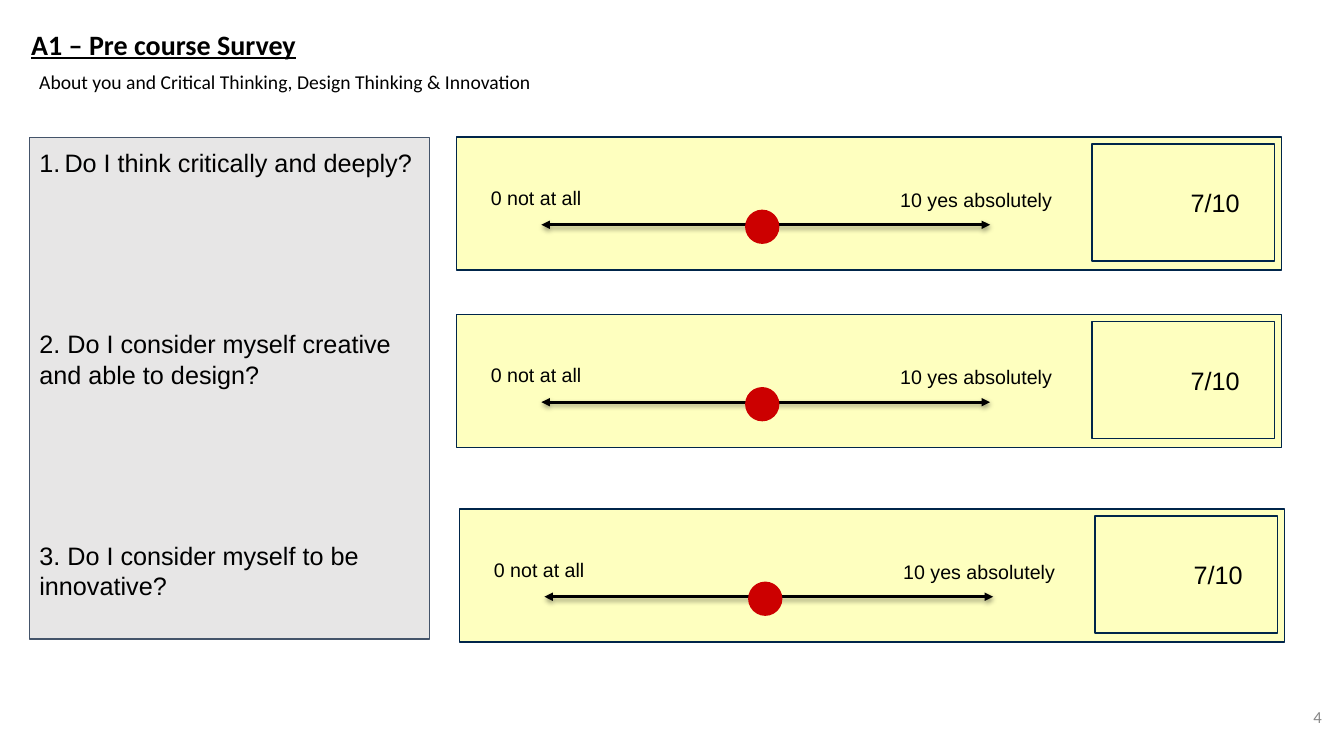
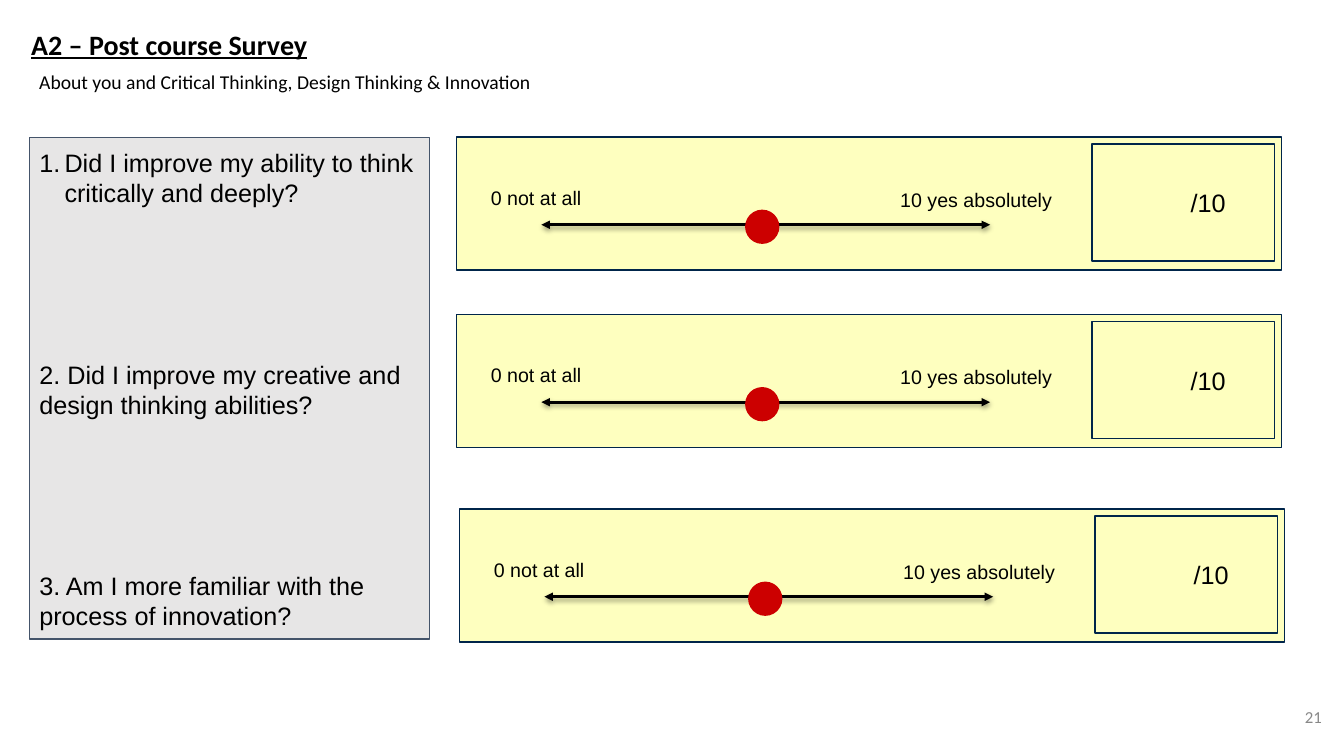
"""Build the pre-course and post-course survey slides."""
from dataclasses import dataclass

from lxml import etree
from pptx import Presentation
from pptx.dml.color import RGBColor
from pptx.enum.shapes import MSO_CONNECTOR, MSO_SHAPE
from pptx.enum.text import MSO_ANCHOR, MSO_AUTO_SIZE, PP_ALIGN
from pptx.oxml import parse_xml
from pptx.oxml.ns import qn
from pptx.util import Inches, Pt

RECT, OVAL = MSO_SHAPE.RECTANGLE, MSO_SHAPE.OVAL
STRAIGHT = MSO_CONNECTOR.STRAIGHT
LEFT, RIGHT = PP_ALIGN.LEFT, PP_ALIGN.RIGHT
TOP, MIDDLE = MSO_ANCHOR.TOP, MSO_ANCHOR.MIDDLE
FIXED = MSO_AUTO_SIZE.NONE

SUBTITLE = "About you and Critical Thinking, Design Thinking & Innovation"
SCALE_ENDS = ("0 not at all", "10 yes absolutely")
SURVEYS = [
    {
        "title": "A1 – Pre course Survey",
        "number": "4",
        "score": "7/10",
        "questions": [
            "Do I think critically and deeply?",
            "2. Do I consider myself creative and able to design?",
            "3. Do I consider myself to be innovative?",
        ],
    },
    {
        "title": "A2 – Post course Survey",
        "number": "21",
        "score": "/10",
        "questions": [
            "Did I improve my ability to think critically and deeply?",
            "2. Did I improve my creative and design thinking abilities?",
            "3. Am I more familiar with the process of innovation?",
        ],
    },
]
RATING_ORIGINS = [(4.53, 1.36), (4.53, 3.12), (4.56, 5.05)]


@dataclass(frozen=True)
class Theme:
    ink: str = "000000"
    muted: str = "888888"
    panel: str = "E7E6E6"
    panel_edge: str = "44546A"
    rating: str = "FEFFBF"
    rating_edge: str = "00254A"
    marker: str = "CC0000"
    heading_font: str = "Calibri"
    body_font: str = "Arial"
    title_size: int = 20
    question_size: int = 18
    label_size: int = 14
    number_size: int = 12
    question_gap: int = 108


THEME = Theme()


def place(shape, left, top, width, height):
    shape.left, shape.top = Inches(left), Inches(top)
    shape.width, shape.height = Inches(width), Inches(height)


def write(shape, *texts, size, font=THEME.body_font, color=THEME.ink, bold=False,
          underline=False, align=LEFT, anchor=TOP, inset=0.1, gap=0):
    frame = shape.text_frame
    frame.word_wrap = True
    frame.auto_size = FIXED
    frame.vertical_anchor = anchor
    frame.margin_left = frame.margin_right = Inches(0.1)
    frame.margin_top = frame.margin_bottom = Inches(inset)
    for index, text in enumerate(texts):
        paragraph = frame.add_paragraph() if index else frame.paragraphs[0]
        paragraph.alignment = align
        paragraph.line_spacing = 1.0
        paragraph.space_before = Pt(gap if index else 0)
        run = paragraph.add_run()
        run.text = text
        run.font.name, run.font.size = font, Pt(size)
        run.font.bold, run.font.underline = bold, underline
        run.font.color.rgb = RGBColor.from_string(color)


def add_label(slide, box, text, **style):
    write(slide.shapes.add_textbox(*map(Inches, box)), text, **style)


def paint(shape, fill, edge=None, width=1):
    shape.fill.solid()
    shape.fill.fore_color.rgb = RGBColor.from_string(fill)
    if edge:
        shape.line.color.rgb = RGBColor.from_string(edge)
        shape.line.width = Pt(width)
    else:
        shape.line.fill.background()


def add_block(slide, preset, box, fill, edge=None):
    block = slide.shapes.add_shape(preset, *map(Inches, box))
    block.shadow.inherit = False
    paint(block, fill, edge)


def add_scale_arrow(slide, left, right, y):
    arrow = slide.shapes.add_connector(
        STRAIGHT, Inches(left), Inches(y), Inches(right), Inches(y))
    arrow.line.color.rgb = RGBColor.from_string(THEME.ink)
    arrow.line.width = Pt(2)
    line = arrow.line._get_or_add_ln()
    for end in ("a:headEnd", "a:tailEnd"):
        etree.SubElement(line, qn(end), type="triangle")
    arrow._element.spPr.append(parse_xml(
        '<a:effectLst xmlns:a="http://schemas.openxmlformats.org/drawingml/2006/main">'
        f'<a:outerShdw blurRad="{Pt(3.1)}" dist="{Pt(1.6)}" dir="5400000" rotWithShape="0">'
        f'<a:srgbClr val="{THEME.ink}"><a:alpha val="38000"/></a:srgbClr>'
        '</a:outerShdw></a:effectLst>'))


def add_rating(slide, left, top, score):
    add_block(slide, RECT, (left, top, 8.18, 1.32), THEME.rating, THEME.rating_edge)
    add_scale_arrow(slide, left + 0.84, left + 5.29, top + 0.87)
    low, high = SCALE_ENDS
    add_label(slide, (left + 0.24, top + 0.38, 1.14, 0.39), low, size=THEME.label_size)
    add_label(slide, (left + 4.3, top + 0.4, 1.79, 0.37), high, size=THEME.label_size)
    add_block(slide, RECT, (left + 6.3, top + 0.07, 1.81, 1.16),
              THEME.rating, THEME.rating_edge)
    add_label(slide, (left + 7.18, top + 0.4, 0.72, 0.37), score,
              size=THEME.question_size)
    add_block(slide, OVAL, (left + 2.86, top + 0.72, 0.34, 0.34), THEME.marker)


def fill_questions(panel, questions):
    place(panel, 0.29, 1.36, 3.97, 4.98)
    paint(panel, THEME.panel, THEME.panel_edge, 0.75)
    write(panel, *questions, size=THEME.question_size, gap=THEME.question_gap)
    for index, paragraph in enumerate(panel.text_frame.paragraphs):
        properties = paragraph._p.get_or_add_pPr()
        hang = 0 if index else Inches(0.25)
        properties.set("marL", str(hang))
        properties.set("indent", str(-hang))
        if index:
            etree.SubElement(properties, qn("a:buNone"))
        else:
            etree.SubElement(properties, qn("a:buAutoNum"), type="arabicPeriod")


def add_survey(deck, survey):
    slide = deck.slides.add_slide(deck.slide_layouts[1])
    title, panel = slide.placeholders
    place(title, 0.21, 0.22, 10.69, 0.44)
    write(title, survey["title"], size=THEME.title_size, font=THEME.heading_font,
          bold=True, underline=True, inset=0.05)
    add_label(slide, (0.29, 0.59, 6.69, 0.44), SUBTITLE,
              size=THEME.label_size, font=THEME.heading_font)
    fill_questions(panel, survey["questions"])
    for left, top in RATING_ORIGINS:
        add_rating(slide, left, top, survey["score"])
    add_label(slide, (10.21, 6.91, 3, 0.4), survey["number"], size=THEME.number_size,
              font=THEME.heading_font, color=THEME.muted, align=RIGHT,
              anchor=MIDDLE, inset=0.05)


def main():
    deck = Presentation()
    deck.slide_width, deck.slide_height = Inches(13.33), Inches(7.5)
    for survey in SURVEYS:
        add_survey(deck, survey)
    deck.save("out.pptx")


if __name__ == "__main__":
    main()
